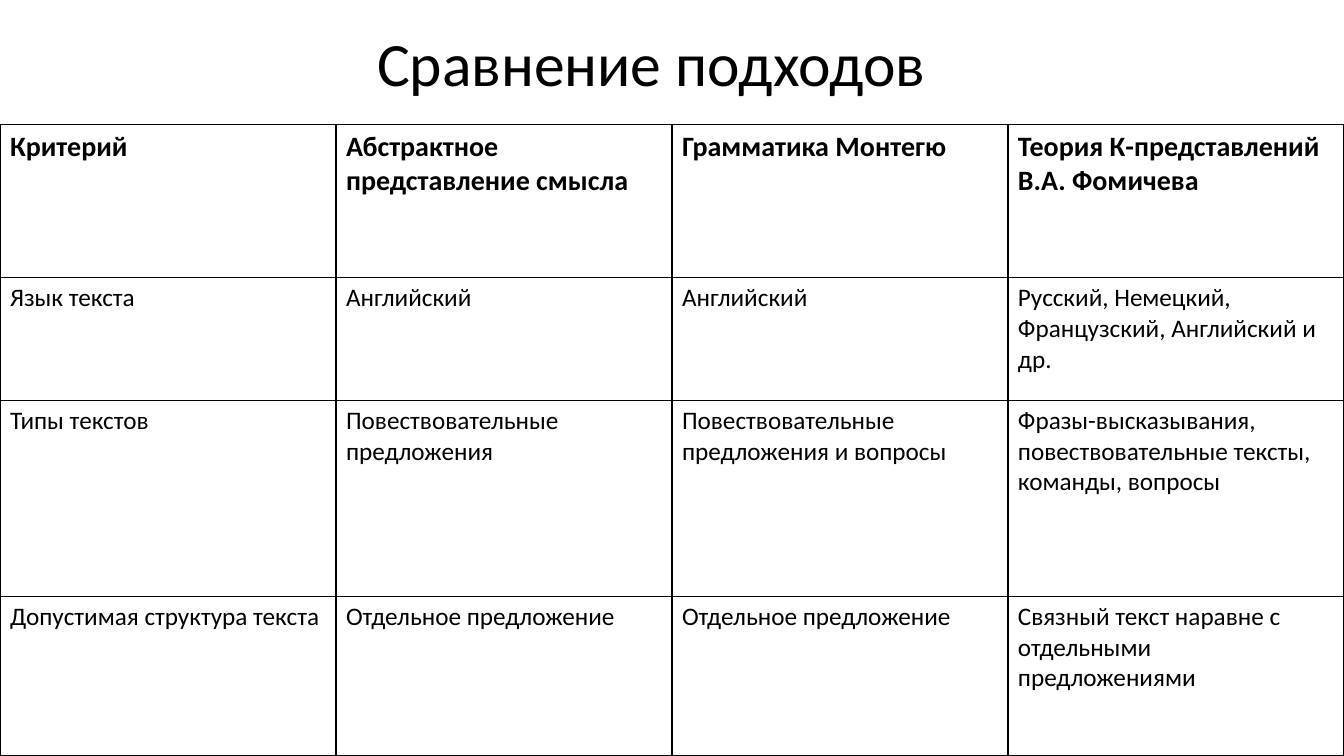
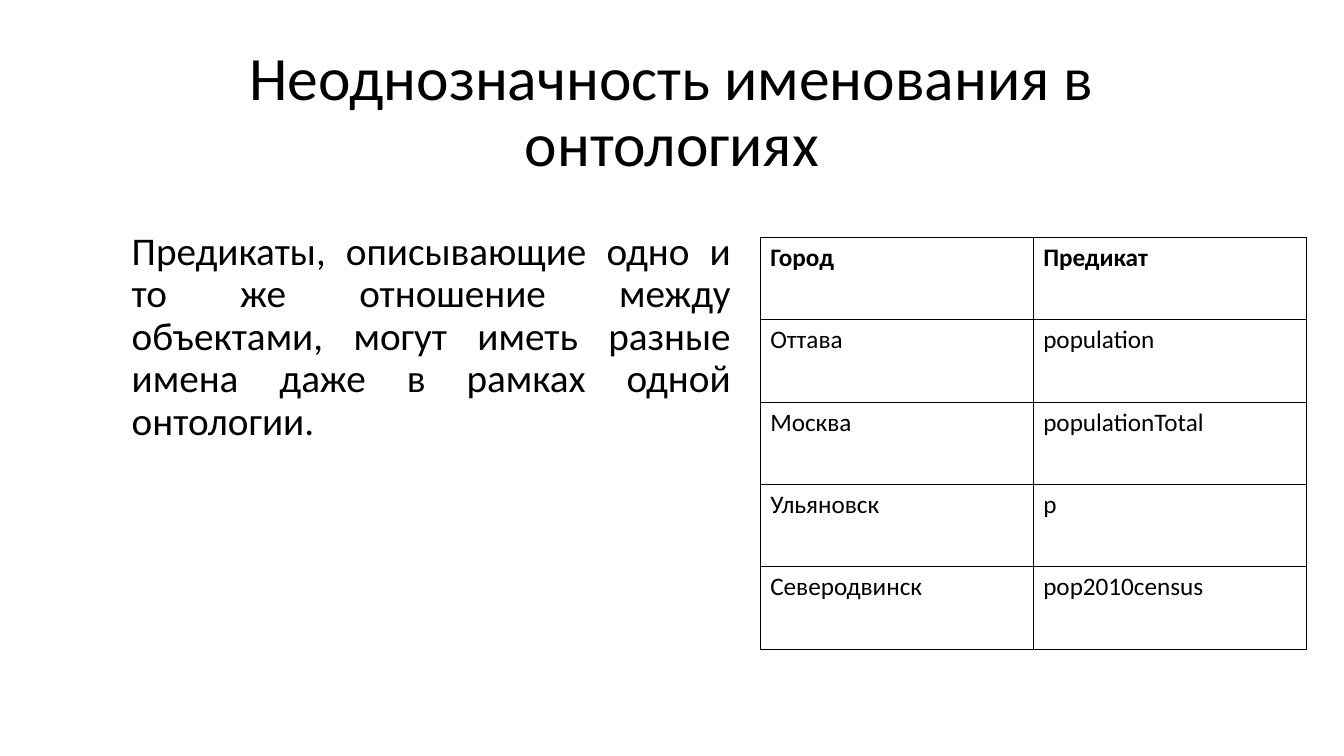
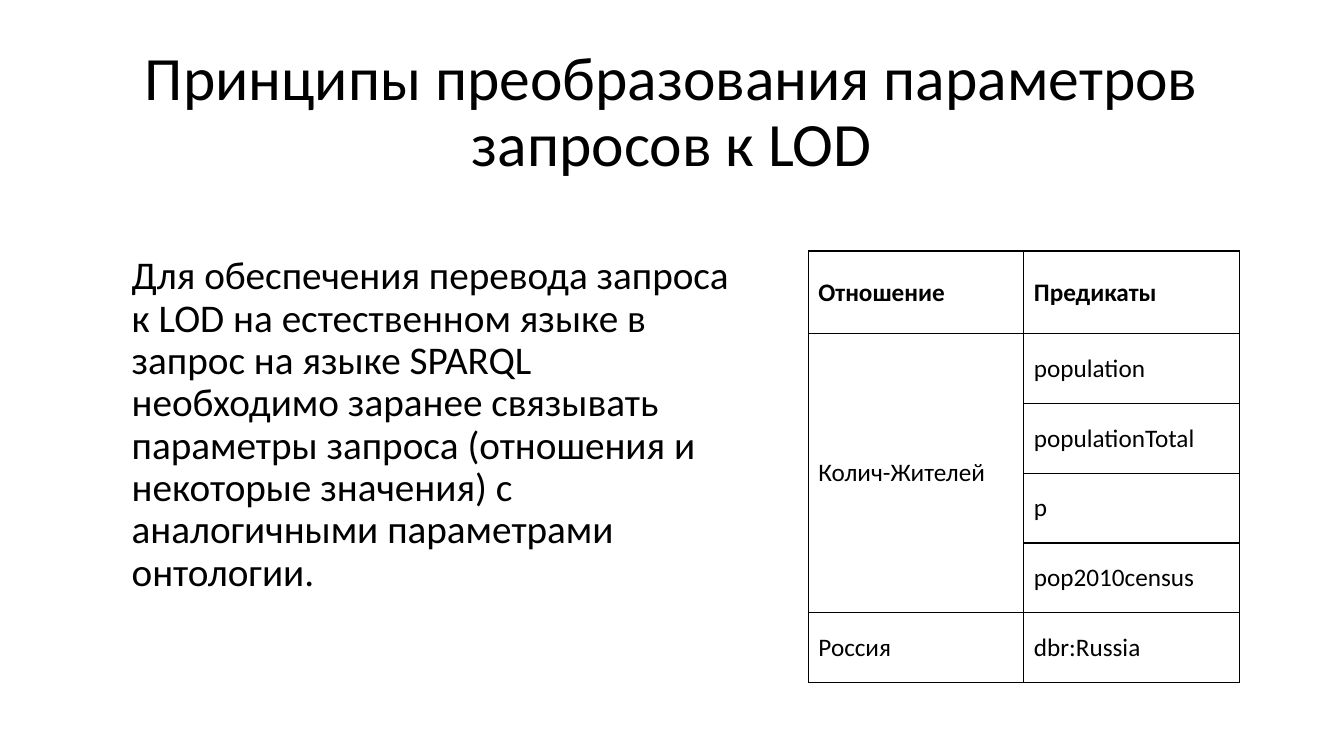
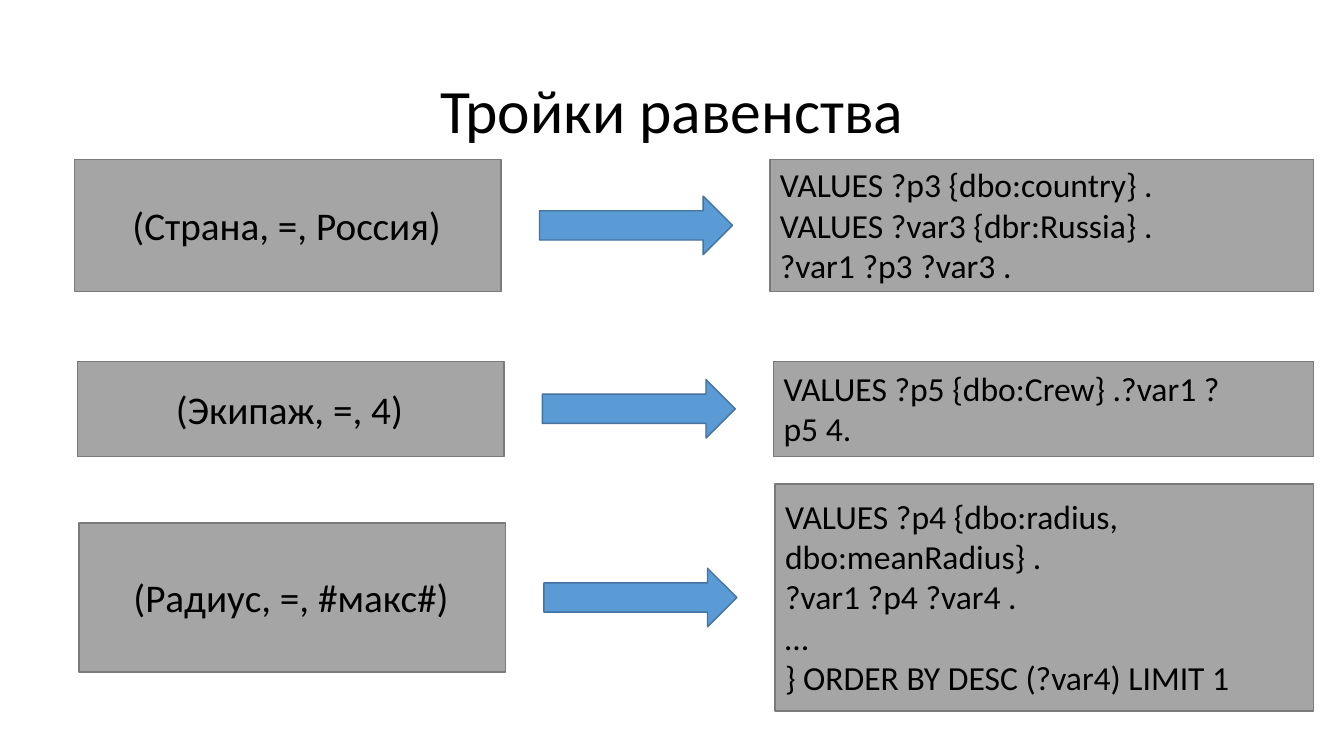
from lxml import etree
from pptx import Presentation
from pptx.dml.color import RGBColor
from pptx.enum.shapes import MSO_SHAPE
from pptx.enum.text import MSO_ANCHOR, PP_ALIGN
from pptx.oxml.ns import qn
from pptx.util import Pt

LEFT, CENTER, JUSTIFY = PP_ALIGN.LEFT, PP_ALIGN.CENTER, PP_ALIGN.JUSTIFY
TOP, MIDDLE = MSO_ANCHOR.TOP, MSO_ANCHOR.MIDDLE
RECTANGLE, RIGHT_ARROW = MSO_SHAPE.RECTANGLE, MSO_SHAPE.RIGHT_ARROW

FONT = "Calibri"
BLACK = RGBColor(0x00, 0x00, 0x00)
GRAY = RGBColor(0xA5, 0xA5, 0xA5)
DARK_GRAY = RGBColor(0x7A, 0x7A, 0x7A)
BLUE = RGBColor(0x5B, 0x9B, 0xD5)
DARK_BLUE = RGBColor(0x43, 0x73, 0x9E)

SLIDE_WIDTH, SLIDE_HEIGHT = 960, 540
TITLE_BOX = (66, 28.75, 828, 104.4)
BOX_RIGHT = 938.2
TRIPLE_WIDTH = 304.6
ARROW_OFFSET, ARROW_WIDTH, ARROW_HEIGHT = 332, 137.8, 41.8

APPROACHES = [
    ["Критерий", "Абстрактное представление смысла", "Грамматика Монтегю",
     "Теория К-представлений\vВ.А. Фомичева"],
    ["Язык текста", "Английский", "Английский",
     "Русский, Немецкий, Французский, Английский и др."],
    ["Типы текстов", "Повествовательные предложения",
     "Повествовательные предложения и вопросы",
     "Фразы-высказывания, повествовательные тексты,\nкоманды, вопросы"],
    ["Допустимая структура текста", "Отдельное предложение",
     "Отдельное предложение",
     "Связный текст наравне с отдельными предложениями"],
]

CITY_PREDICATES = [
    ["Город", "Предикат"],
    ["Оттава", "population"],
    ["Москва", "populationTotal"],
    ["Ульяновск", "p"],
    ["Северодвинск", "pop2010census"],
]

RELATION_PREDICATES = [
    ["Отношение", "Предикаты"],
    ["Колич-Жителей", "population"],
    [None, "populationTotal"],
    [None, "p"],
    [None, "pop2010census"],
    ["Россия", "dbr:Russia"],
]


def style_text(frame, size, align=LEFT, bold=False, spacing=None, before=None):
    for paragraph in frame.paragraphs:
        paragraph.alignment = align
        paragraph.line_spacing = spacing
        if before is not None:
            paragraph.space_before = Pt(before)
        font = paragraph.font
        font.name, font.size, font.bold = FONT, Pt(size), bold
        font.color.rgb = BLACK


def add_text(slide, box, text, size, anchor=TOP, **style):
    frame = slide.shapes.add_textbox(*map(Pt, box)).text_frame
    frame.word_wrap = True
    frame.vertical_anchor = anchor
    frame.text = text
    style_text(frame, size, **style)


def add_title(slide, text, box=TITLE_BOX):
    add_text(slide, box, text, 44, MIDDLE, align=CENTER, spacing=0.9)


def add_body(slide, box, text, align=LEFT):
    add_text(slide, box, text, 28, align=align, spacing=0.9, before=10)


def add_figure(slide, preset, box, fill, line):
    figure = slide.shapes.add_shape(preset, *map(Pt, box))
    figure.shadow.inherit = False
    figure.fill.solid()
    figure.fill.fore_color.rgb = fill
    figure.line.color.rgb = line
    figure.line.width = Pt(1)


def add_borders(cell):
    properties = cell._tc.get_or_add_tcPr()
    for side in ("a:lnL", "a:lnR", "a:lnT", "a:lnB"):
        line = etree.SubElement(properties, qn(side), w=str(Pt(1)))
        fill = etree.SubElement(line, qn("a:solidFill"))
        etree.SubElement(fill, qn("a:srgbClr"), val=str(BLACK))


def add_grid(slide, left, top, column_width, row_heights, rows,
             header_size=18, anchor=TOP):
    columns = len(rows[0])
    table = slide.shapes.add_table(
        len(rows), columns, Pt(left), Pt(top),
        Pt(column_width * columns), Pt(sum(row_heights))).table
    table.first_row = table.horz_banding = False
    for column in table.columns:
        column.width = Pt(column_width)
    for row, height in zip(table.rows, row_heights):
        row.height = Pt(height)
    for r, values in enumerate(rows):
        for c, value in enumerate(values):
            cell = table.cell(r, c)
            add_borders(cell)
            cell.fill.background()
            cell.vertical_anchor = anchor
            cell.text = value or ""
            style_text(cell.text_frame, 18 if r else header_size, bold=r == 0)
    return table


def add_translation(slide, middle, triple_left, triple_height, triple,
                    query_left, query_height, query_width, query_lines, query):
    def centred(left, width, height):
        return left, middle - height / 2, width, height

    add_figure(slide, RECTANGLE,
               centred(triple_left, TRIPLE_WIDTH, triple_height),
               GRAY, DARK_GRAY)
    add_text(slide, centred(triple_left - 1, TRIPLE_WIDTH, 41), triple, 28,
             align=CENTER)
    add_figure(slide, RIGHT_ARROW,
               centred(triple_left + ARROW_OFFSET, ARROW_WIDTH, ARROW_HEIGHT),
               BLUE, DARK_BLUE)
    add_figure(slide, RECTANGLE,
               centred(query_left, BOX_RIGHT - query_left, query_height),
               GRAY, DARK_GRAY)
    add_text(slide,
             centred(query_left, query_width, 29.1 * query_lines + 7.2),
             query, 24)


def build_approaches(slide):
    add_title(slide, "Сравнение подходов", (95, 16.6, 741, 61.2))
    add_grid(slide, 0, 89, 240, [109.4, 87.6, 140, 114], APPROACHES,
             header_size=20)


def build_ambiguity(slide):
    add_title(slide, "Неоднозначность именования в онтологиях")
    add_body(slide, (87, 162, 442, 330.5),
             "Предикаты, описывающие одно и то же отношение между объектами, "
             "могут иметь разные имена даже в рамках одной онтологии.",
             JUSTIFY)
    add_grid(slide, 543, 169.7, 195, [58.8] * 5, CITY_PREDICATES)


def build_principles(slide):
    add_title(slide, "Принципы преобразования параметров запросов к LOD")
    add_body(slide, (87, 179.3, 452, 330.5),
             "Для обеспечения перевода запроса к LOD на естественном языке в "
             "запрос на языке SPARQL необходимо заранее связывать параметры "
             "запроса (отношения и некоторые значения) с аналогичными "
             "параметрами онтологии.")
    relations = add_grid(slide, 577.4, 179.3, 154, [59.2] + [49.8] * 5,
                         RELATION_PREDICATES, anchor=MIDDLE)
    relations.cell(1, 0).merge(relations.cell(4, 0))


def build_equalities(slide):
    add_title(slide, "Тройки равенства")
    add_translation(slide, 161, 53.4, 94.4, "(Страна, =, Россия)",
                    550, 94.4, 355.7, 3,
                    "VALUES ?p3 {dbo:country} .\n"
                    "VALUES ?var3 {dbr:Russia} .\n"
                    "?var1 ?p3 ?var3 .")
    add_translation(slide, 292, 55.4, 68, "(Экипаж, =, 4)",
                    552.6, 68, 332.6, 2,
                    "VALUES ?p5 {dbo:Crew} .?var1 ?p5 4.")
    add_translation(slide, 426.8, 56.5, 106.6, "(Радиус, =, #макс#)",
                    553.7, 162, 384.5, 5,
                    "VALUES ?p4 {dbo:radius, dbo:meanRadius} .\n"
                    "?var1 ?p4 ?var4 .\n"
                    "…\n"
                    "} ORDER BY DESC (?var4) LIMIT 1")


def main():
    presentation = Presentation()
    presentation.slide_width = Pt(SLIDE_WIDTH)
    presentation.slide_height = Pt(SLIDE_HEIGHT)
    blank = presentation.slide_layouts[6]
    for build in (build_approaches, build_ambiguity,
                  build_principles, build_equalities):
        build(presentation.slides.add_slide(blank))
    presentation.save("out.pptx")


main()
